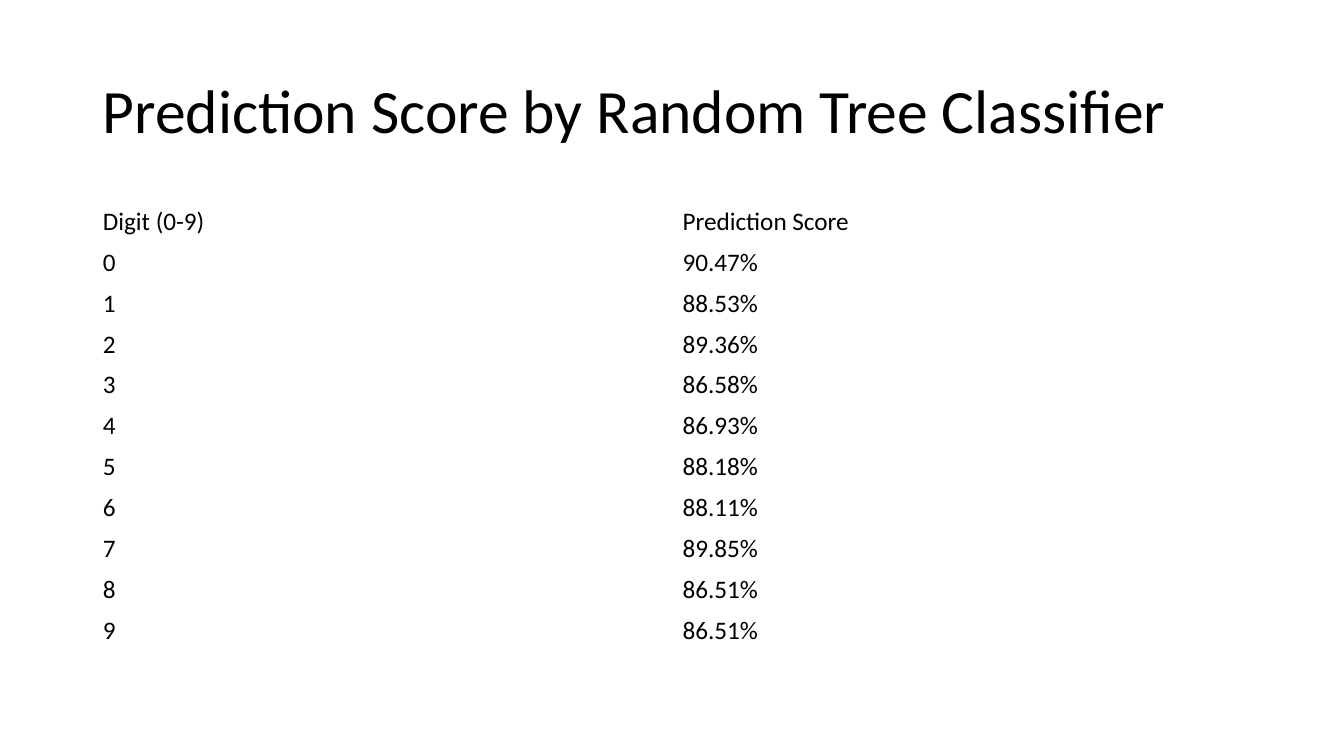
from dataclasses import dataclass

from pptx import Presentation
from pptx.dml.color import RGBColor
from pptx.enum.text import MSO_ANCHOR
from pptx.util import Inches, Pt


@dataclass(frozen=True)
class Theme:
    font: str = "Calibri"
    text: RGBColor = RGBColor(0, 0, 0)
    title_size: Pt = Pt(44)
    table_size: Pt = Pt(18)


theme = Theme()
scores = ["90.47%", "88.53%", "89.36%", "86.58%", "86.93%",
          "88.18%", "88.11%", "89.85%", "86.51%", "86.51%"]
rows = [("Digit (0-9)", "Prediction Score")]
rows += [(str(digit), score) for digit, score in enumerate(scores)]
left, width = Inches(0.92), Inches(11.5)
table_height = Inches(4.46)


def add_run(p, text, size):
    r = p.add_run()
    r.text = text
    r.font.name = theme.font
    r.font.size = size
    r.font.bold = False
    r.font.color.rgb = theme.text


prs = Presentation()
prs.slide_width = Inches(13.33)
prs.slide_height = Inches(7.5)
s = prs.slides.add_slide(prs.slide_layouts[6])

title = s.shapes.add_textbox(left, Inches(0.4), width, Inches(1.45))
tf = title.text_frame
tf.word_wrap = True
tf.vertical_anchor = MSO_ANCHOR.MIDDLE
p = tf.paragraphs[0]
p.line_spacing = 0.9
add_run(p, "Prediction Score by Random Tree Classifier", theme.title_size)

table = s.shapes.add_table(len(rows), 2, left, Inches(2), width, table_height).table
table.first_row = False
table.horz_banding = False
for row, texts in zip(table.rows, rows):
    row.height = table_height // len(rows)
    for cell, text in zip(row.cells, texts):
        cell.fill.background()
        add_run(cell.text_frame.paragraphs[0], text, theme.table_size)

prs.save("out.pptx")
